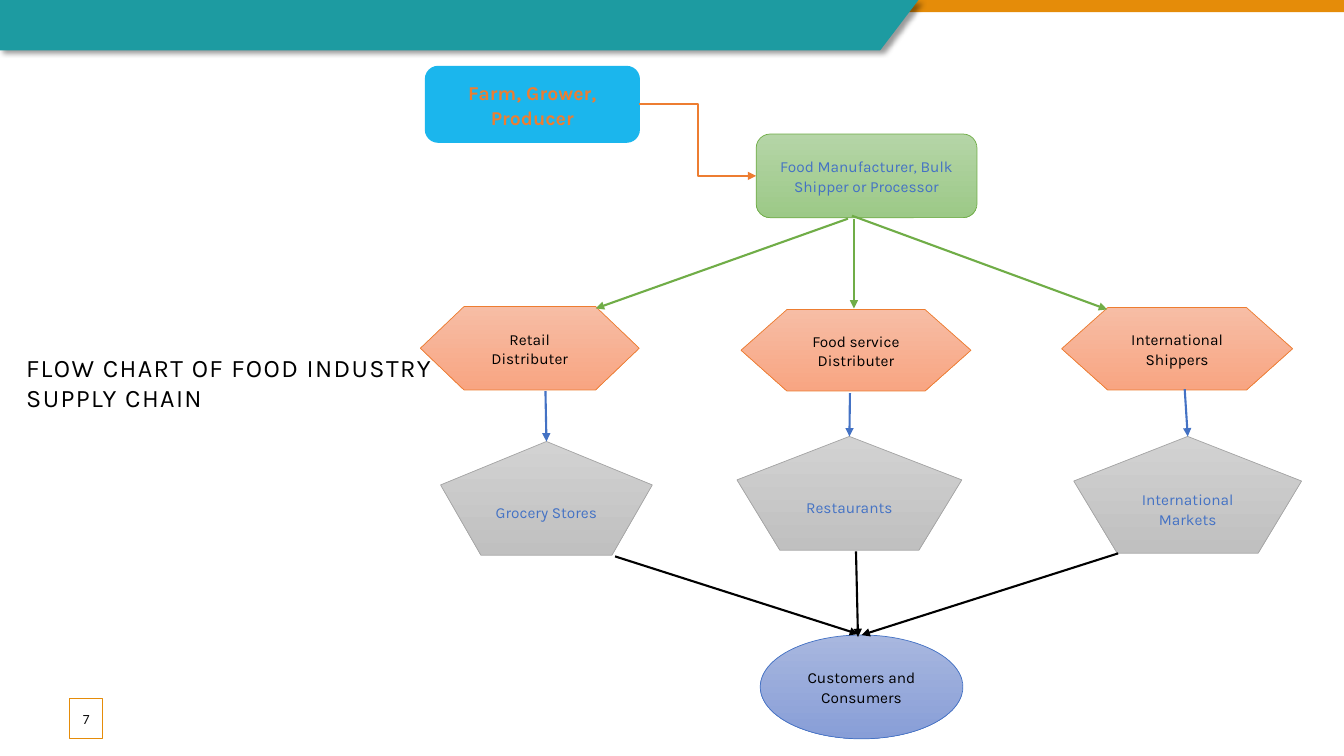
"""Build the food industry supply chain flow chart slide."""
from dataclasses import dataclass
from typing import NamedTuple, Optional

from lxml import etree
from pptx import Presentation
from pptx.dml.color import RGBColor
from pptx.enum.shapes import MSO_CONNECTOR, MSO_SHAPE
from pptx.enum.text import MSO_ANCHOR, MSO_AUTO_SIZE, PP_ALIGN
from pptx.oxml.ns import qn
from pptx.util import Inches, Pt

RECT, ROUND = MSO_SHAPE.RECTANGLE, MSO_SHAPE.ROUNDED_RECTANGLE
HEXAGON, PENTAGON = MSO_SHAPE.FLOWCHART_PREPARATION, MSO_SHAPE.REGULAR_PENTAGON
OVAL = MSO_SHAPE.OVAL
STRAIGHT, ELBOW = MSO_CONNECTOR.STRAIGHT, MSO_CONNECTOR.ELBOW
CENTER, LEFT_ALIGN = PP_ALIGN.CENTER, PP_ALIGN.LEFT
MIDDLE, TOP_ANCHOR = MSO_ANCHOR.MIDDLE, MSO_ANCHOR.TOP
NO_FIT = MSO_AUTO_SIZE.NONE
TOP, LEFT, RIGHT = 0, 1, 3


@dataclass(frozen=True)
class Theme:
    font: str = "Karla"
    number_font: str = "Calibri"
    title_size: float = 18
    source_size: float = 14
    node_size: float = 11
    number_size: float = 10
    black: str = "000000"
    white: str = "FFFFFF"
    number: str = "0D0D0D"
    teal: str = "1D9BA1"
    amber: str = "E58C09"
    sky: str = "1BB6ED"
    orange: str = "ED7D31"
    green: str = "70AD47"
    blue: str = "4472C4"
    gray: str = "A5A5A5"
    green_fade: tuple[str, ...] = ("B5D5A7", "9CC987")
    orange_fade: tuple[str, ...] = ("F7BDA5", "F8A582")
    gray_fade: tuple[str, ...] = ("D2D2D2", "C0C0C0")
    blue_fade: tuple[str, ...] = ("A8B7DF", "889ED7")


T = Theme()


class Style(NamedTuple):
    shape: int
    fill: tuple[str, ...]
    line: str
    ink: str
    size: float = T.node_size
    bold: bool = False
    line_width: float = 0.5


class Node(NamedTuple):
    text: str
    box: tuple[float, float, float, float]
    style: Style


class Link(NamedTuple):
    color: str
    start: tuple[float, float]
    end: tuple[float, float]
    target: Optional[str] = None


SOURCE = Style(ROUND, (T.sky,), T.sky, T.orange, T.source_size, True, 1)
MAKER = Style(ROUND, T.green_fade, T.green, T.blue)
DISTRIBUTER = Style(HEXAGON, T.orange_fade, T.orange, T.black)
OUTLET = Style(PENTAGON, T.gray_fade, T.gray, T.blue)
BUYER = Style(OVAL, T.blue_fade, T.blue, T.black)

FARM = "Farm, Grower, Producer"
MANUFACTURER = "Food Manufacturer, Bulk Shipper or Processor"
GROCERY, RESTAURANTS = "Grocery Stores", "Restaurants"
MARKETS, CUSTOMERS = "International Markets", "Customers and Consumers"

NODES = [
    Node(FARM, (4.22, 0.66, 2.12, 0.75), SOURCE),
    Node(MANUFACTURER, (7.5, 1.33, 2.19, 0.83), MAKER),
    Node("Retail Distributer", (4.17, 3.04, 2.17, 0.83), DISTRIBUTER),
    Node("Food service Distributer", (7.35, 3.07, 2.28, 0.81), DISTRIBUTER),
    Node("International Shippers", (10.53, 3.05, 2.29, 0.82), DISTRIBUTER),
    Node(GROCERY, (4.37, 4.38, 2.1, 1.13), OUTLET),
    Node(RESTAURANTS, (7.31, 4.33, 2.23, 1.13), OUTLET),
    Node(MARKETS, (10.65, 4.33, 2.26, 1.16), OUTLET),
    Node(CUSTOMERS, (7.54, 6.3, 2.01, 1.03), BUYER),
]
LINKS = [
    Link(T.green, (8.41, 2.17), (5.91, 3.06)),
    Link(T.green, (8.47, 2.17), (8.47, 3.06)),
    Link(T.green, (8.45, 2.14), (10.98, 3.07)),
    Link(T.blue, (5.41, 3.88), (5.42, 4.37), GROCERY),
    Link(T.blue, (8.43, 3.9), (8.42, 4.33), RESTAURANTS),
    Link(T.blue, (11.75, 3.86), (11.77, 4.34), MARKETS),
    Link(T.black, (6.1, 5.52), (8.51, 6.29)),
    Link(T.black, (8.49, 5.47), (8.51, 6.32)),
    Link(T.black, (11.09, 5.49), (8.54, 6.29), CUSTOMERS),
]


def rgb(color: str) -> RGBColor:
    return RGBColor.from_string(color)


def add_run(p, text: str, font: str, size: float, color: str, bold: bool = False):
    r = p.add_run()
    r.text = text
    r.font.name, r.font.size, r.font.bold = font, Pt(size), bold
    r.font.color.rgb = rgb(color)
    return r


def paint(sp, fill: tuple[str, ...], line: Optional[str] = None, width: float = 0) -> None:
    sp.shadow.inherit = False
    if len(fill) == 1:
        sp.fill.solid()
        sp.fill.fore_color.rgb = rgb(fill[0])
    else:
        sp.fill.gradient()
        sp.fill.gradient_angle = 270
        for stop, color in zip(sp.fill.gradient_stops, fill):
            stop.color.rgb = rgb(color)
    if line:
        sp.line.color.rgb = rgb(line)
        sp.line.width = Pt(width)
    else:
        sp.line.fill.background()


def add_banner(s) -> None:
    strip = s.shapes.add_shape(RECT, 0, 0, Inches(13.33), Inches(0.12))
    paint(strip, (T.amber,))
    outline = s.shapes.build_freeform(0, 0, scale=Inches(0.01))
    outline.add_line_segments([(911, 0), (873, 50), (0, 50)], close=True)
    ribbon = outline.convert_to_shape()
    paint(ribbon, (T.teal,))
    effects = ribbon._element.spPr.find(qn("a:effectLst"))
    shadow = etree.SubElement(effects, qn("a:outerShdw"), blurRad=str(Pt(4)),
                              dist=str(Pt(3)), dir="2700000", algn="tl", rotWithShape="0")
    color = etree.SubElement(shadow, qn("a:srgbClr"), val=T.black)
    etree.SubElement(color, qn("a:alpha"), val="40000")


def add_title(s) -> None:
    title = s.shapes.title
    title.left, title.top, title.width, title.height = map(Inches, (0.16, 3.44, 4.57, 0.77))
    tf = title.text_frame
    tf.word_wrap, tf.auto_size, tf.vertical_anchor = True, NO_FIT, TOP_ANCHOR
    p = tf.paragraphs[0]
    p.alignment = LEFT_ALIGN
    r = add_run(p, "FLOW CHART OF FOOD INDUSTRY SUPPLY CHAIN", T.font, T.title_size, T.black)
    r.font._element.set("spc", "100")


def add_number(s) -> None:
    sp = s.shapes.add_shape(RECT, *map(Inches, (0.69, 6.93, 0.33, 0.4)))
    paint(sp, (T.white,), T.amber, 0.75)
    color = sp._element.spPr.find(qn("a:solidFill"))[0]
    etree.SubElement(color, qn("a:alpha"), val="82000")
    tf = sp.text_frame
    tf.margin_left = tf.margin_right = 0
    tf.vertical_anchor = MIDDLE
    p = tf.paragraphs[0]
    p.alignment = CENTER
    add_run(p, "7", T.number_font, T.number_size, T.number)


def add_node(s, node: Node):
    style = node.style
    sp = s.shapes.add_shape(style.shape, *map(Inches, node.box))
    paint(sp, style.fill, style.line, style.line_width)
    tf = sp.text_frame
    tf.word_wrap, tf.vertical_anchor = True, MIDDLE
    p = tf.paragraphs[0]
    p.alignment, p.line_spacing, p.space_after = CENTER, 1.07, Pt(8)
    add_run(p, node.text, T.font, style.size, style.ink, style.bold)
    return sp


def add_arrow(s, link: Link, kind: int = STRAIGHT):
    c = s.shapes.add_connector(kind, *map(Inches, link.start + link.end))
    c.line.color.rgb, c.line.width = rgb(link.color), Pt(1.5)
    etree.SubElement(c.line._get_or_add_ln(), qn("a:tailEnd"), type="triangle")
    etree.SubElement(c._element.spPr, qn("a:effectLst"))
    return c


def main() -> None:
    prs = Presentation()
    prs.slide_width, prs.slide_height = Inches(13.33), Inches(7.5)
    s = prs.slides.add_slide(prs.slide_layouts[5])
    add_banner(s)
    add_title(s)
    add_number(s)
    shapes = {node.text: add_node(s, node) for node in NODES}
    supply = add_arrow(s, Link(T.orange, (6.34, 1.01), (7.5, 1.76)), ELBOW)
    supply.begin_connect(shapes[FARM], RIGHT)
    supply.end_connect(shapes[MANUFACTURER], LEFT)
    for link in LINKS:
        arrow = add_arrow(s, link)
        if link.target:
            arrow.end_connect(shapes[link.target], TOP)
    prs.save("out.pptx")


if __name__ == "__main__":
    main()
